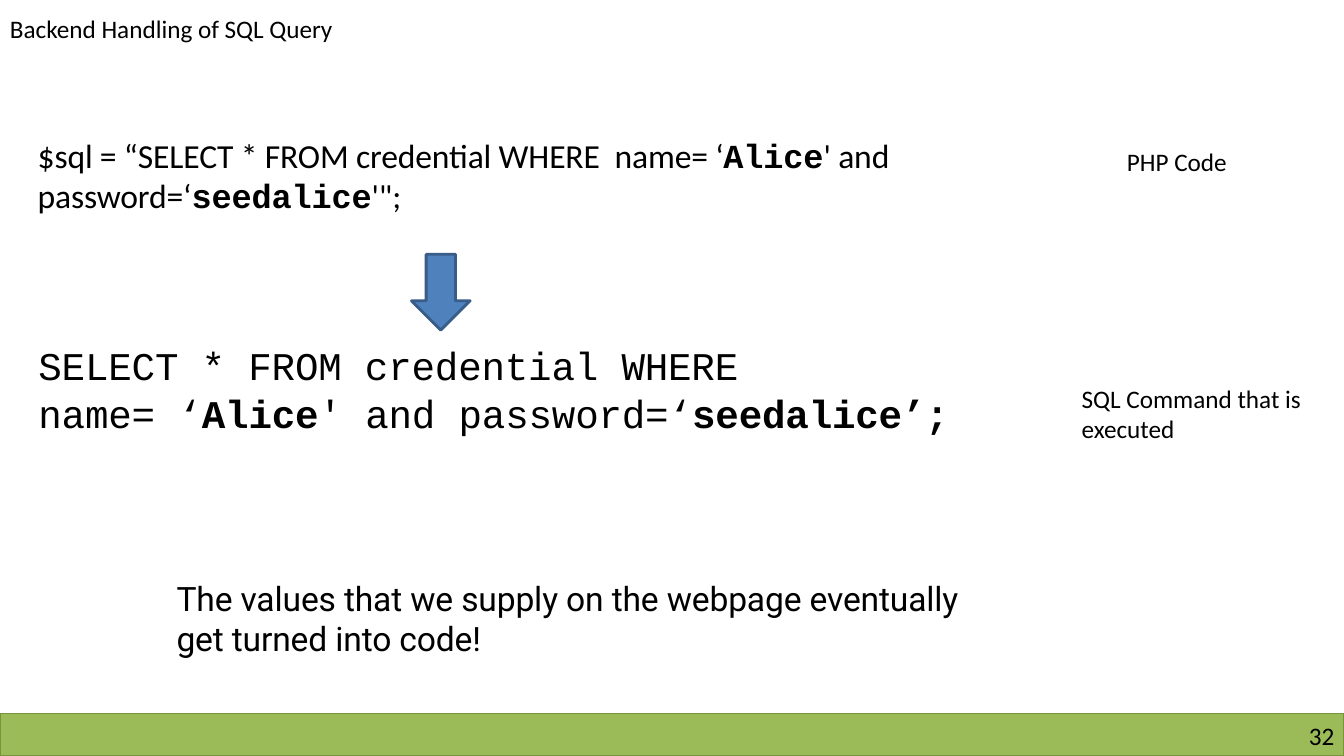
from pptx import Presentation
from pptx.dml.color import RGBColor
from pptx.enum.shapes import MSO_SHAPE
from pptx.enum.text import PP_ALIGN
from pptx.util import Cm, Pt

LEFT, RIGHT = PP_ALIGN.LEFT, PP_ALIGN.RIGHT
RECTANGLE, DOWN_ARROW = MSO_SHAPE.RECTANGLE, MSO_SHAPE.DOWN_ARROW

BLACK = RGBColor(0x00, 0x00, 0x00)
GREEN = RGBColor(0x9B, 0xBB, 0x59)
DARK_GREEN = RGBColor(0x77, 0x93, 0x3C)
BLUE = RGBColor(0x4F, 0x81, 0xBC)
DARK_BLUE = RGBColor(0x38, 0x5D, 0x89)

BODY, CODE, NOTE = "Calibri", "Courier New", "Roboto"
LABEL_INSETS = (0.25, 0.13, 0.25, 0.13)
TIGHT_INSETS = (0, 0.03, 0, 0)

SLIDE_WIDTH, SLIDE_HEIGHT = 33.87, 19.05


def add_text(slide, box, paragraphs, font=BODY, bold_font=None, size=18,
             align=LEFT, insets=LABEL_INSETS, wrap=True, spacing=0, gap=0):
    """Each paragraph is a list of pieces; every second piece is bold."""
    frame = slide.shapes.add_textbox(*map(Cm, box)).text_frame
    frame.word_wrap = wrap
    (frame.margin_left, frame.margin_top,
     frame.margin_right, frame.margin_bottom) = map(Cm, insets)
    for number, pieces in enumerate(paragraphs):
        paragraph = frame.add_paragraph() if number else frame.paragraphs[0]
        paragraph.alignment = align
        if number:
            paragraph.space_before = Pt(gap)
        for position, piece in enumerate(pieces):
            bold = position % 2 == 1
            run = paragraph.add_run()
            run.text = piece
            run.font.name = bold_font if bold and bold_font else font
            run.font.size = Pt(size)
            run.font.bold = bold
            run.font.color.rgb = BLACK
            if spacing:
                run.font._element.set("spc", str(round(spacing * 100)))


def add_block(slide, kind, box, fill, line, line_width):
    block = slide.shapes.add_shape(kind, *map(Cm, box))
    block.shadow.inherit = False
    block.fill.solid()
    block.fill.fore_color.rgb = fill
    block.line.color.rgb = line
    block.line.width = Pt(line_width)


def add_footer(slide, box, page):
    left, top, width, height = box
    add_block(slide, RECTANGLE, box, GREEN, DARK_GREEN, 1)
    number_width = 7.8
    number_box = (left + width - number_width - 0.24, top + 0.18,
                  number_width, 0.76)
    add_text(slide, number_box, [[page]], align=RIGHT, insets=(0, 0, 0, 0))


def add_query_flow(slide, box):
    left, top, width, height = box
    # PHP statement and its label
    php = ["$sql = “SELECT * FROM credential WHERE  name= ‘", "Alice",
           "' and password=‘", "seedalice", "'\";"]
    add_text(slide, (left, top, 23.72, 2.44), [php], bold_font=CODE, size=24,
             insets=TIGHT_INSETS, spacing=-0.1)
    add_text(slide, (left + 27.2, top + 0.2, 3.53, 1.02), [["PHP Code"]],
             wrap=False)

    # Arrow from statement to command
    add_block(slide, DOWN_ARROW, (left + 9.42, top + 3.05, 1.48, 1.91),
              BLUE, DARK_BLUE, 2)

    # Resulting command and its label
    command = [["SELECT * FROM credential WHERE"],
               ["name= ‘", "Alice", "' and password=‘", "seedalice’;"]]
    add_text(slide, (left + 0.02, top + 5.21, 23.11, 2.46), command,
             font=CODE, size=28, insets=TIGHT_INSETS, spacing=-0.1, gap=0.6)
    add_text(slide, (left + 26.06, top + 6.17, 6.55, 1.8),
             [["SQL Command that is executed"]])

    # Takeaway
    takeaway = "The values that we supply on the webpage eventually get turned into code!"
    add_text(slide, (left + 3.5, top + height - 2.11, 20.17, 2.11),
             [[takeaway]], font=NOTE, size=24, insets=TIGHT_INSETS,
             spacing=-0.1)


def main():
    deck = Presentation()
    deck.slide_width, deck.slide_height = Cm(SLIDE_WIDTH), Cm(SLIDE_HEIGHT)
    slide = deck.slides.add_slide(deck.slide_layouts[6])

    footer_height = 1.07
    add_footer(slide, (0, SLIDE_HEIGHT - footer_height, SLIDE_WIDTH,
                       footer_height), "32")
    add_text(slide, (0, 0.2, 9.98, 1.02), [["Backend Handling of SQL Query"]],
             wrap=False)
    add_query_flow(slide, (0.95, 3.36, 32.6, 13.28))
    deck.save("out.pptx")


if __name__ == "__main__":
    main()
